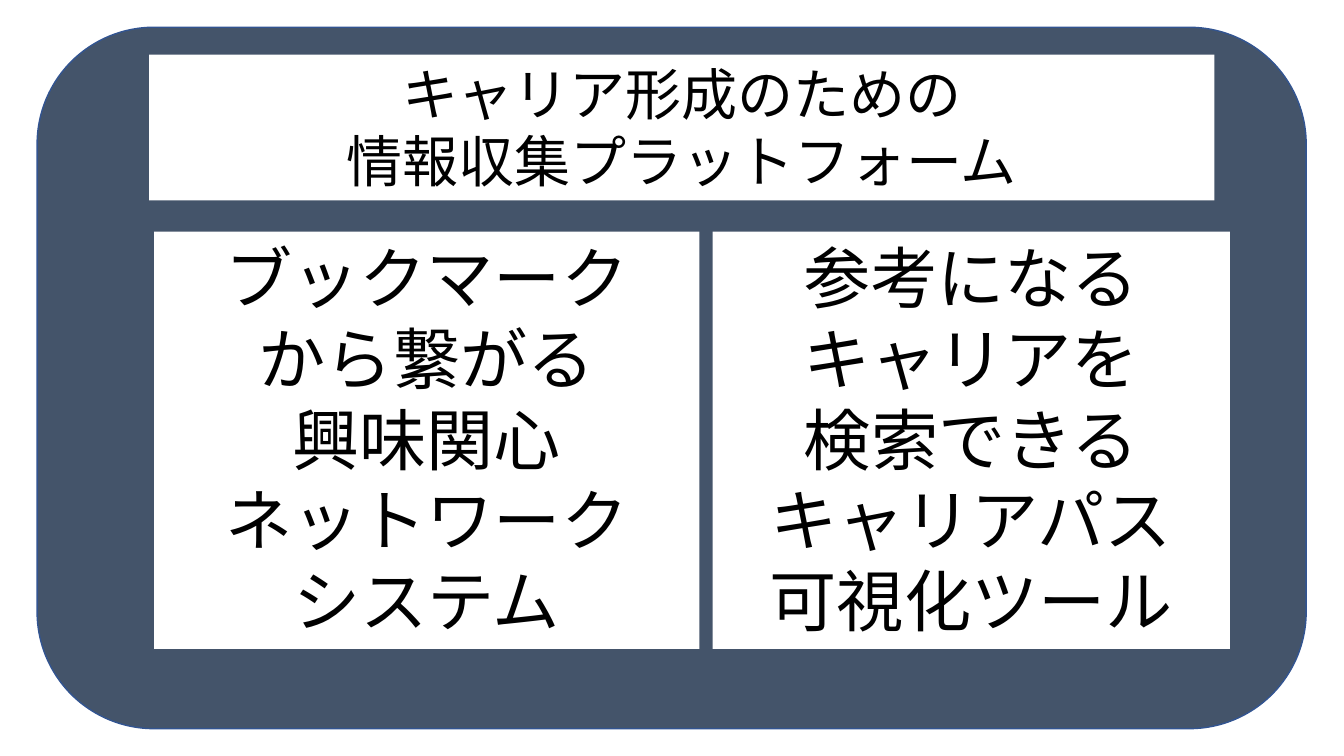
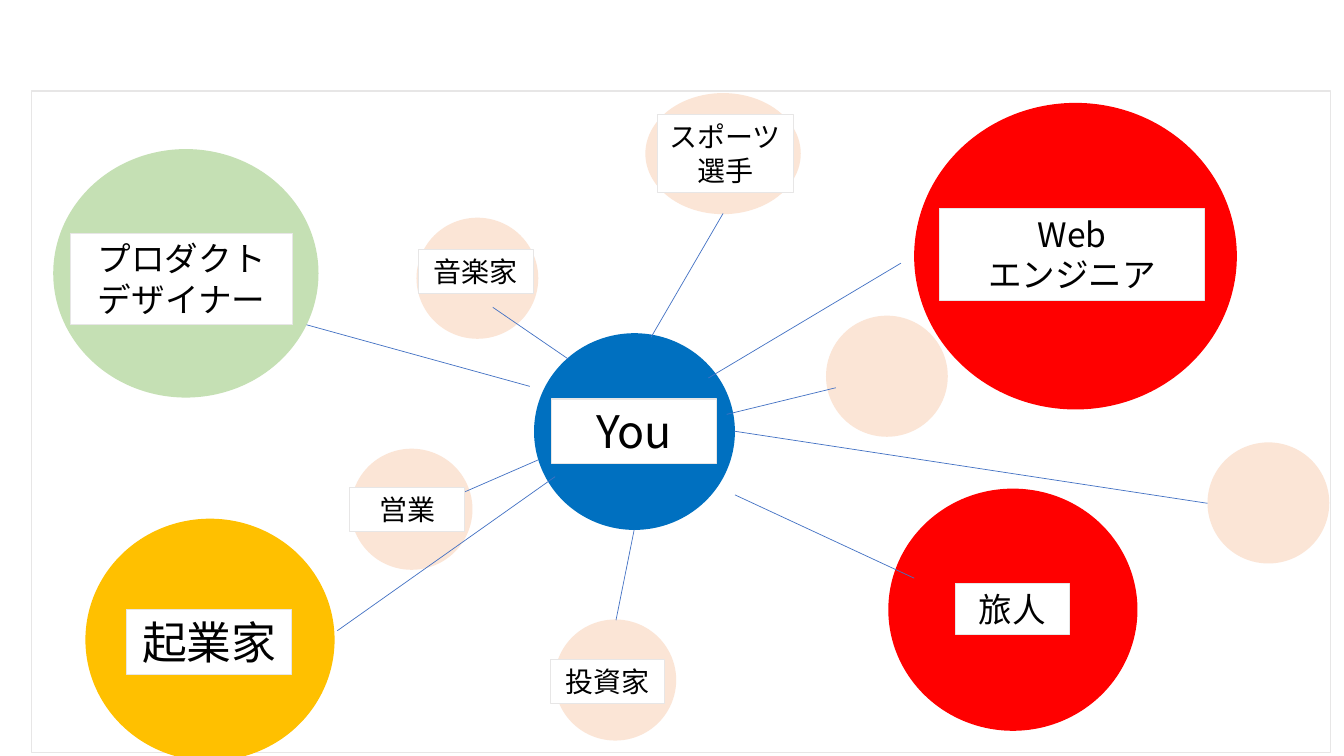
"""Build two slides on a career information platform and its interest network."""
from dataclasses import dataclass

from lxml.etree import SubElement
from pptx import Presentation
from pptx.dml.color import RGBColor
from pptx.enum.shapes import MSO_CONNECTOR, MSO_SHAPE
from pptx.enum.text import MSO_ANCHOR, MSO_AUTO_SIZE, PP_ALIGN
from pptx.oxml.ns import qn
from pptx.util import Pt


@dataclass(frozen=True)
class Theme:
    font: str = "Noto Sans CJK JP"
    leading: float = 1.2
    ink: str = "000000"
    paper: str = "FFFFFF"
    frame: str = "44546A"
    frame_edge: str = "325491"
    card_edge: str = "E7E6E6"
    link: str = "4472C4"
    you: str = "0070C0"
    strong: str = "FF0000"
    founder: str = "FFC000"
    designer: str = "C5E0B4"
    faint: str = "FBE5D6"
    feature: int = 48
    headline: int = 40
    large: int = 32
    medium: int = 24
    small: int = 20
    frame_line: float = 1
    card_line: float = 0.75
    link_line: float = 0.5


class Deck:
    def __init__(self, theme):
        self.theme = theme
        self.presentation = Presentation()
        self.presentation.slide_width = Pt(960)
        self.presentation.slide_height = Pt(540)
        self.slide = None

    def new_slide(self):
        self.slide = self.presentation.slides.add_slide(self.presentation.slide_layouts[6])

    def block(self, preset, place, fill, edge=None, width=0.75):
        shape = self.slide.shapes.add_shape(preset, *map(Pt, place))
        shape.shadow.inherit = False
        shape.fill.solid()
        shape.fill.fore_color.rgb = RGBColor.from_string(fill)
        if edge:
            shape.line.color.rgb = RGBColor.from_string(edge)
            shape.line.width = Pt(width)
        else:
            shape.line.fill.background()
        return shape

    def bubble(self, place, fill):
        self.block(MSO_SHAPE.OVAL, place, fill)

    def card(self, place, lines, size, edge=None):
        shape = self.block(MSO_SHAPE.RECTANGLE, place, self.theme.paper, edge, self.theme.card_line)
        frame = shape.text_frame
        frame.word_wrap = True
        frame.auto_size = MSO_AUTO_SIZE.SHAPE_TO_FIT_TEXT
        frame.vertical_anchor = MSO_ANCHOR.TOP
        frame.text = "\n".join(lines)
        for paragraph in frame.paragraphs:
            paragraph.alignment = PP_ALIGN.CENTER
            paragraph.line_spacing = Pt(size * self.theme.leading)
            paragraph.font.size = Pt(size)
            paragraph.font.color.rgb = RGBColor.from_string(self.theme.ink)
            paragraph.font.name = self.theme.font
            defaults = paragraph._p.pPr.find(qn("a:defRPr"))
            SubElement(defaults, qn("a:ea")).set("typeface", self.theme.font)

    def link(self, start, end):
        connector = self.slide.shapes.add_connector(
            MSO_CONNECTOR.STRAIGHT, *map(Pt, (*start, *end)))
        connector.line.color.rgb = RGBColor.from_string(self.theme.link)
        connector.line.width = Pt(self.theme.link_line)
        SubElement(connector._element.spPr, qn("a:effectLst"))

    def save(self):
        self.presentation.save("out.pptx")


def platform_slide(deck):
    theme = deck.theme
    deck.new_slide()
    deck.block(MSO_SHAPE.ROUNDED_RECTANGLE, (26.5, 19.5, 906.5, 501),
               theme.frame, theme.frame_edge, theme.frame_line)
    deck.card((106.5, 39, 761, 104.2),
              ["キャリア形成のための", "情報収集プラットフォーム"], theme.headline)
    for left, width, lines in (
        (110, 389.5, ["ブックマーク", "から繋がる", "興味関心", "ネットワーク", "システム"]),
        (509, 369.5, ["参考になる", "キャリアを", "検索できる", "キャリアパス", "可視化ツール"]),
    ):
        deck.card((left, 165.5, width, 298), lines, theme.feature)


def network_slide(deck):
    theme = deck.theme
    deck.new_slide()
    deck.block(MSO_SHAPE.RECTANGLE, (22.5, 65, 928, 472.5),
               theme.paper, theme.card_edge, theme.card_line)

    for place, fill in (
        ((653, 73.5, 230.5, 219), theme.strong),
        ((61, 370.5, 178, 173), theme.founder),
        ((634.5, 349, 178, 173), theme.strong),
        ((461, 66.5, 111, 86.5), theme.faint),
        ((38, 106.5, 189.5, 177.5), theme.designer),
        ((381.5, 238, 143.5, 140.5), theme.you),
    ):
        deck.bubble(place, fill)
    for left, top in ((862.5, 316), (396, 442.5), (250.5, 320.5), (297.5, 155.5), (590, 225.5)):
        deck.bubble((left, top, 87, 86.5), theme.faint)

    for start, end in (
        ((378.5, 276), (219, 232)),
        ((384.5, 328.5), (330.5, 352)),
        ((396.5, 340.5), (241, 450.5)),
        ((453, 378.5), (440, 443)),
        ((519, 296), (597, 277)),
        ((525, 353.5), (653, 413)),
        ((524.5, 308), (862.5, 359.5)),
        ((465, 241), (516.5, 152.5)),
        ((406, 256.5), (352, 219.5)),
        ((506, 270), (643.5, 188)),
    ):
        deck.link(start, end)

    for place, lines, size in (
        ((394, 285, 118, 46), ["You"], theme.large),
        ((90.5, 435.5, 118, 46), ["起業家"], theme.large),
        ((50.5, 166.5, 158.5, 65.5), ["プロダクト", "デザイナー"], theme.medium),
        ((671, 149, 189.5, 65.5), ["Web", "エンジニア"], theme.medium),
        ((682.5, 417, 81.5, 36), ["旅人"], theme.medium),
        ((393, 471, 82, 31.5), ["投資家"], theme.small),
        ((250, 348, 82, 31.5), ["営業"], theme.small),
        ((299, 178.5, 82, 31.5), ["音楽家"], theme.small),
        ((469.5, 82, 97, 55.5), ["スポーツ選手"], theme.small),
    ):
        deck.card(place, lines, size, theme.card_edge)


def main():
    deck = Deck(Theme())
    platform_slide(deck)
    network_slide(deck)
    deck.save()


if __name__ == "__main__":
    main()
